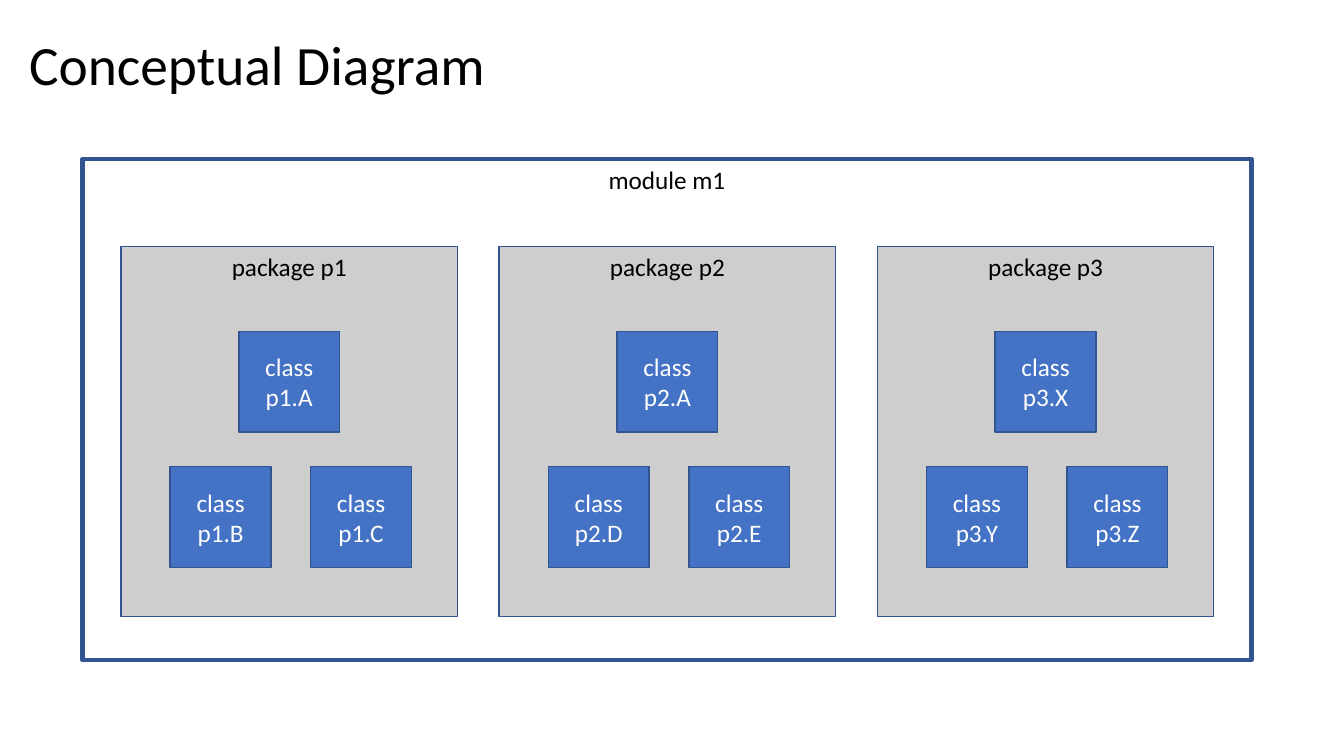
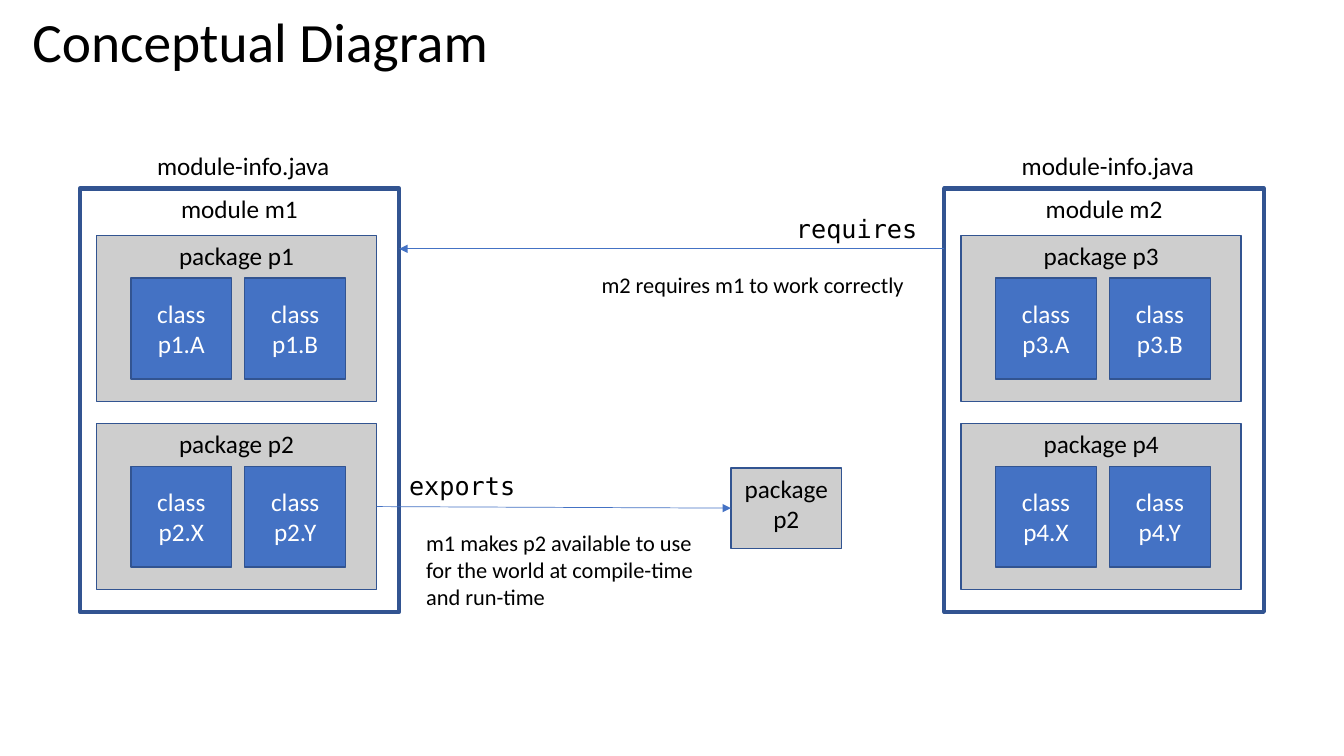
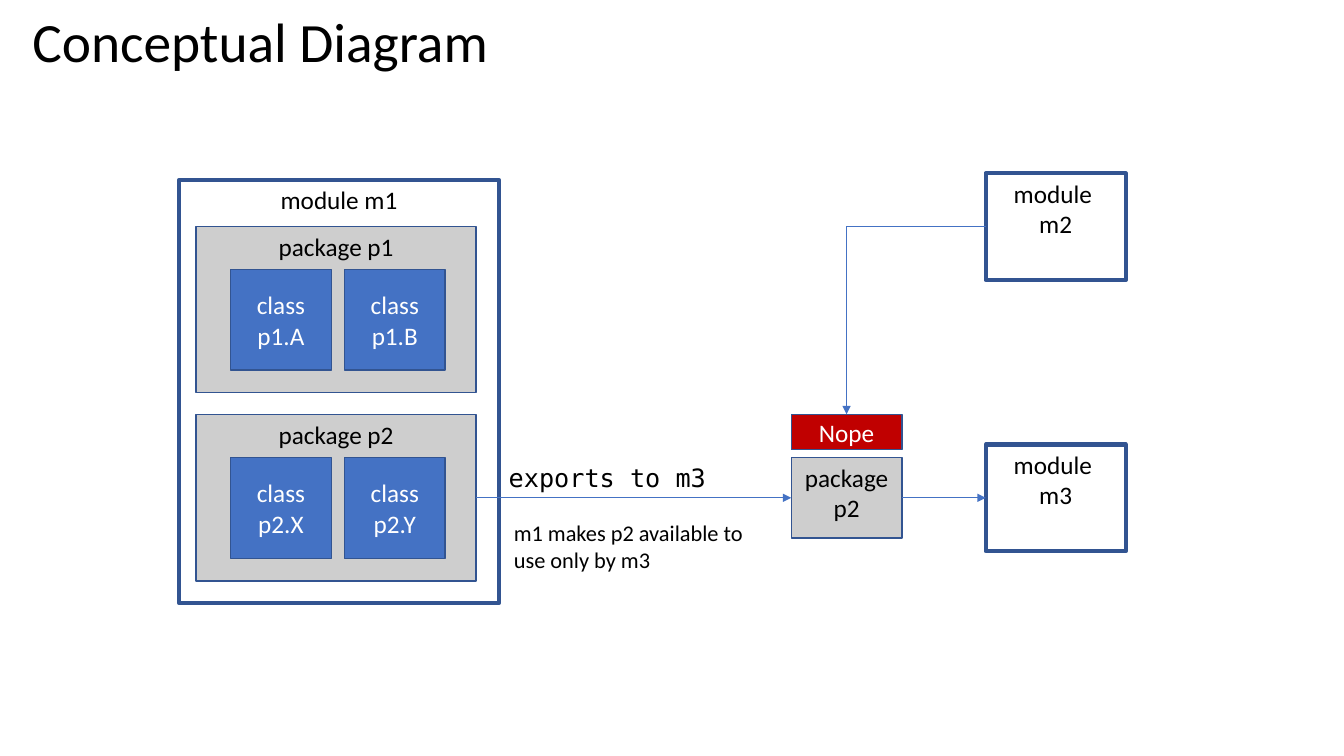
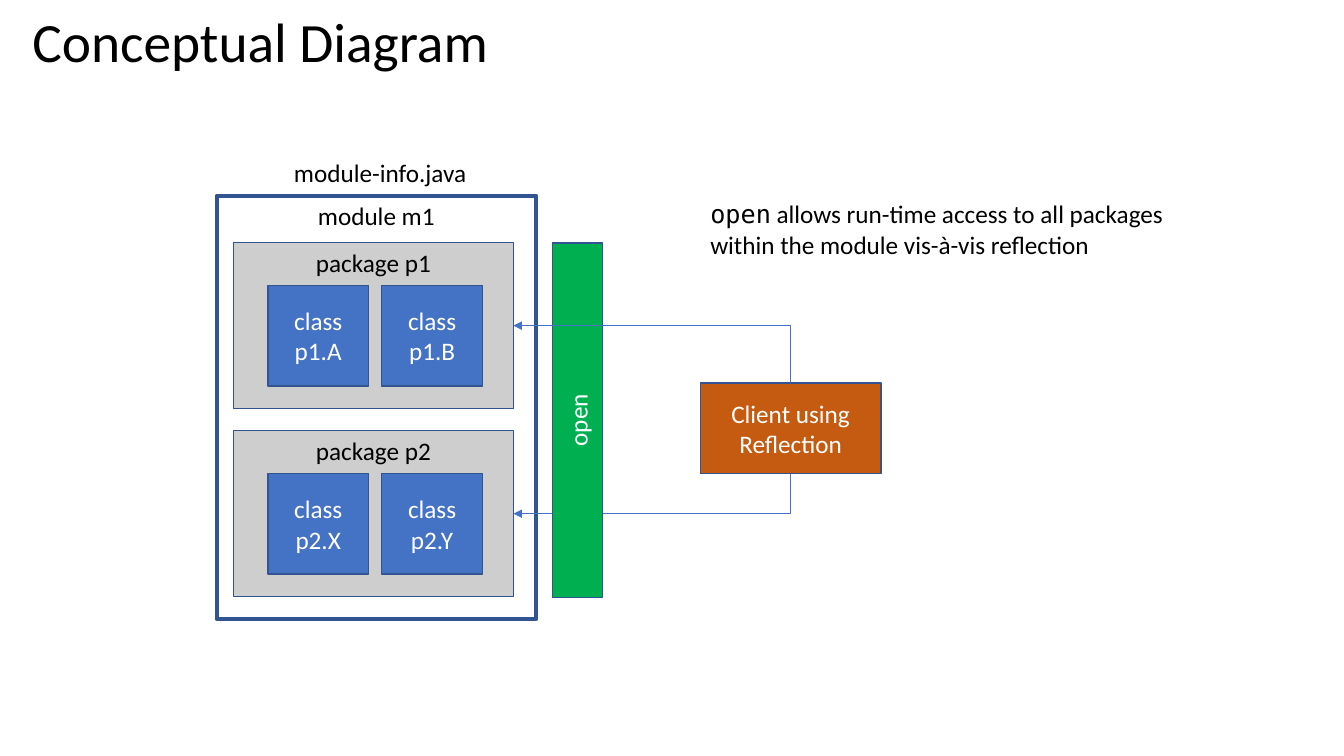
import dataclasses
import typing

import pptx
import pptx.dml.color
import pptx.enum.shapes
import pptx.enum.text
import pptx.oxml
import pptx.oxml.ns
import pptx.util
import lxml.etree

Cm = pptx.util.Cm
Pt = pptx.util.Pt
Anchor = pptx.enum.text.MSO_ANCHOR
Align = pptx.enum.text.PP_ALIGN
Connector = pptx.enum.shapes.MSO_CONNECTOR

# Shared look
COLORS = {
    "text": "000000",
    "light": "FFFFFF",
    "outline": "325491",
    "class": "4472C4",
    "package": "A6A6A6",
    "denied": "C00000",
    "client": "C55A11",
    "open": "00B050",
}
SANS = "Calibri"
MONO = "DejaVu Sans Mono"
TITLE = "Conceptual Diagram"
TOP, LEFT, BOTTOM, RIGHT = range(4)  # connection sites of a rectangle


@dataclasses.dataclass(frozen=True)
class Area:
    """A rectangle in centimetres."""
    left: float
    top: float
    width: float
    height: float

    def lengths(self) -> list[pptx.util.Length]:
        return [Cm(self.left), Cm(self.top), Cm(self.width), Cm(self.height)]


@dataclasses.dataclass(frozen=True)
class BoxStyle:
    fill: typing.Optional[str]
    font: str = "light"
    border: float = 1
    anchor: typing.Any = Anchor.MIDDLE
    opacity: int = 100


@dataclasses.dataclass(frozen=True)
class Package:
    name: str
    classes: tuple[str, ...]


@dataclasses.dataclass(frozen=True)
class Span:
    text: str
    font: str = SANS
    size: float = 18


MODULE = BoxStyle(None, "text", 3, Anchor.TOP)
PACKAGE = BoxStyle("package", "text", 1, Anchor.TOP, 55)
CLASS = BoxStyle("class")
DENIED = BoxStyle("denied")
CLIENT = BoxStyle("client")
OPEN = BoxStyle("open")

P1 = Package("p1", ("A", "B"))
P2 = Package("p2", ("X", "Y"))
P3 = Package("p3", ("A", "B"))
P4 = Package("p4", ("X", "Y"))

CLASS_SIZE = 2.54
CLASS_ROW = ((0.87, 1.08), (3.74, 1.08))
CLASS_PYRAMID = ((2.97, 2.13), (1.24, 5.54), (4.78, 5.54))
PACKAGE_PITCH = 4.74


# Building blocks
def rgb(name: str) -> pptx.dml.color.RGBColor:
    return pptx.dml.color.RGBColor.from_string(COLORS[name])


def add_xml(parent: typing.Any, tag: str, **attributes: str) -> None:
    child = lxml.etree.SubElement(parent, pptx.oxml.ns.qn(tag))
    for name, value in attributes.items():
        child.set(name, value)


def format_span(span: typing.Any, font: str, size: float, color: str) -> None:
    span.font.name = font
    span.font.size = Pt(size)
    span.font.color.rgb = rgb(color)


def add_page(deck: typing.Any, title_area: Area) -> typing.Any:
    page = deck.slides.add_slide(deck.slide_layouts.get_by_name("Title Only"))
    title = page.shapes.title
    title.left, title.top, title.width, title.height = title_area.lengths()
    frame = title.text_frame
    frame.text = TITLE
    frame.auto_size = pptx.enum.text.MSO_AUTO_SIZE.NONE
    frame.vertical_anchor = Anchor.MIDDLE
    para = frame.paragraphs[0]
    para.alignment = Align.LEFT
    para.line_spacing = 0.9
    format_span(para.runs[0], SANS, 39.6, "text")
    return page


def add_box(page: typing.Any, area: Area, text: str, style: BoxStyle) -> typing.Any:
    box = page.shapes.add_shape(pptx.enum.shapes.MSO_SHAPE.RECTANGLE, *area.lengths())
    box.shadow.inherit = False
    box.line.color.rgb = rgb("outline")
    box.line.width = Pt(style.border)
    if style.fill is None:
        box.fill.background()
    else:
        box.fill.solid()
        box.fill.fore_color.rgb = rgb(style.fill)
        if style.opacity < 100:
            color = box.element.spPr.find(".//" + pptx.oxml.ns.qn("a:srgbClr"))
            add_xml(color, "a:alpha", val=str(style.opacity * 1000))
    frame = box.text_frame
    frame.text = text
    frame.word_wrap = True
    frame.vertical_anchor = style.anchor
    for para in frame.paragraphs:
        para.alignment = Align.CENTER
        for span in para.runs:
            format_span(span, SANS, 18, style.font)
    return box


def add_label(page: typing.Any, area: Area, *spans: Span, wrap: bool = False) -> None:
    frame = page.shapes.add_textbox(*area.lengths()).text_frame
    frame.word_wrap = wrap
    for part in spans:
        span = frame.paragraphs[0].add_run()
        span.text = part.text
        format_span(span, part.font, part.size, "text")


def style_arrow(arrow: typing.Any, tip: str) -> None:
    arrow.line.color.rgb = rgb("class")
    arrow.line.width = Pt(0.5)
    add_xml(arrow.line._get_or_add_ln(), tip, type="triangle")
    add_xml(arrow.element.spPr, "a:effectLst")


def link(page: typing.Any, start: typing.Any, start_site: int, end: typing.Any,
         end_site: int, bent: bool = False, tip: str = "a:tailEnd") -> None:
    """Join two boxes; a bent link leaves its start horizontally and turns once."""
    kind = Connector.ELBOW if bent else Connector.STRAIGHT
    arrow = page.shapes.add_connector(kind, 0, 0, 0, 0)
    arrow.begin_connect(start, start_site)
    arrow.end_connect(end, end_site)
    if bent:
        arrow.element.spPr.find(pptx.oxml.ns.qn("a:prstGeom")).set("prst", "bentConnector2")
    style_arrow(arrow, tip)


# Diagram parts
def add_package(page: typing.Any, area: Area, package: Package,
                offsets: tuple[tuple[float, float], ...]) -> typing.Any:
    box = add_box(page, area, f"package {package.name}", PACKAGE)
    for name, (right, down) in zip(package.classes, offsets):
        square = Area(area.left + right, area.top + down, CLASS_SIZE, CLASS_SIZE)
        add_box(page, square, f"class\n{package.name}.{name}", CLASS)
    return box


def add_module(page: typing.Any, left: float, top: float, name: str,
               packages: tuple[Package, ...], descriptor: bool = True) -> list[typing.Any]:
    """Draw a module with stacked packages and return the package boxes."""
    add_box(page, Area(left, top, 8.05, 10.67), f"module {name}", MODULE)
    if descriptor:
        add_label(page, Area(left + 1.7, top - 1.09, 4.9, 1.02), Span("module-info.java"))
    return [
        add_package(page, Area(left + 0.42, top + 1.18 + row * PACKAGE_PITCH, 7.06, 4.19),
                    package, CLASS_ROW)
        for row, package in enumerate(packages)
    ]


# Slides
def add_single_module(deck: typing.Any) -> None:
    page = add_page(deck, Area(0.48, 0.76, 12.3, 1.9))
    add_box(page, Area(2.08, 4.01, 29.46, 12.62), "module m1", MODULE)
    packages = (Package("p1", ("A", "B", "C")), Package("p2", ("A", "D", "E")),
                Package("p3", ("X", "Y", "Z")))
    for column, package in enumerate(packages):
        area = Area(3.05 + column * 9.53, 6.22, 8.48, 9.32)
        add_package(page, area, package, CLASS_PYRAMID)


def add_requires_exports(deck: typing.Any, title_area: Area) -> None:
    page = add_page(deck, title_area)
    exporter = add_module(page, 2.01, 4.75, "m1", (P1, P2))[1]
    add_module(page, 23.8, 4.75, "m2", (P3, P4))

    exported = add_box(page, Area(18.42, 11.79, 2.79, 2.03), "package p2", PACKAGE)
    link(page, exporter, RIGHT, exported, LEFT)
    add_label(page, Area(10.06, 11.73, 3.2, 1.02), Span("exports", MONO))
    add_label(page, Area(10.49, 13.21, 7.42, 2.31),
              Span("m1 makes p2 available to use for the world at compile-time and run-time",
                   size=16), wrap=True)

    requires = page.shapes.add_connector(Connector.STRAIGHT, Cm(23.8), Cm(6.27),
                                         Cm(10.06), Cm(6.27))
    style_arrow(requires, "a:tailEnd")
    add_label(page, Area(19.81, 5.26, 3.58, 1.02), Span("requires", MONO))
    add_label(page, Area(14.91, 6.71, 8.23, 0.94),
              Span("m2 requires m1 to work correctly", size=16))


def add_exports_to(deck: typing.Any, title_area: Area) -> None:
    page = add_page(deck, title_area)
    exporter = add_module(page, 4.52, 4.53, "m1", (P1, P2), descriptor=False)[1]
    exported = add_box(page, Area(19.94, 11.53, 2.79, 2.03), "package p2", PACKAGE)
    link(page, exporter, RIGHT, exported, LEFT)
    add_label(page, Area(12.57, 11.53, 5.49, 1.02), Span("exports to m3", MONO))
    add_label(page, Area(12.7, 12.95, 6.86, 1.63),
              Span("m1 makes p2 available to use only by m3", size=16), wrap=True)

    blocked, allowed = (
        add_box(page, Area(24.84, top, 3.53, 2.69), f"module \n{name}", MODULE)
        for name, top in (("m2", 4.37), ("m3", 11.2))
    )
    link(page, exported, RIGHT, allowed, LEFT)
    denied = add_box(page, Area(19.94, 10.44, 2.79, 0.89), "Nope", DENIED)
    link(page, blocked, LEFT, denied, TOP, bent=True)


def add_open_module(deck: typing.Any, title_area: Area) -> None:
    page = add_page(deck, title_area)
    upper, lower = add_module(page, 5.46, 4.93, "m1", (P1, P2))
    client = add_box(page, Area(17.65, 9.65, 4.55, 2.29), "Client using Reflection", CLIENT)

    # The lower link passes behind the bar, the upper one in front
    link(page, lower, RIGHT, client, BOTTOM, bent=True, tip="a:headEnd")
    bar = add_box(page, Area(13.92, 6.12, 1.27, 8.94), "open", OPEN)
    bar.text_frame._txBody.bodyPr.set("vert", "vert270")
    link(page, upper, RIGHT, client, TOP, bent=True, tip="a:headEnd")

    add_label(page, Area(17.65, 4.88, 12.45, 1.8), Span("open", MONO),
              Span(" allows run-time access to all packages within the module "
                   "vis-à-vis reflection"), wrap=True)


def main() -> None:
    deck = pptx.Presentation()
    deck.slide_width, deck.slide_height = Cm(33.87), Cm(19.05)
    title_area = Area(0.56, 0.46, 12.6, 1.3)
    add_single_module(deck)
    add_requires_exports(deck, title_area)
    add_exports_to(deck, title_area)
    add_open_module(deck, title_area)
    deck.save("out.pptx")


if __name__ == "__main__":
    main()
